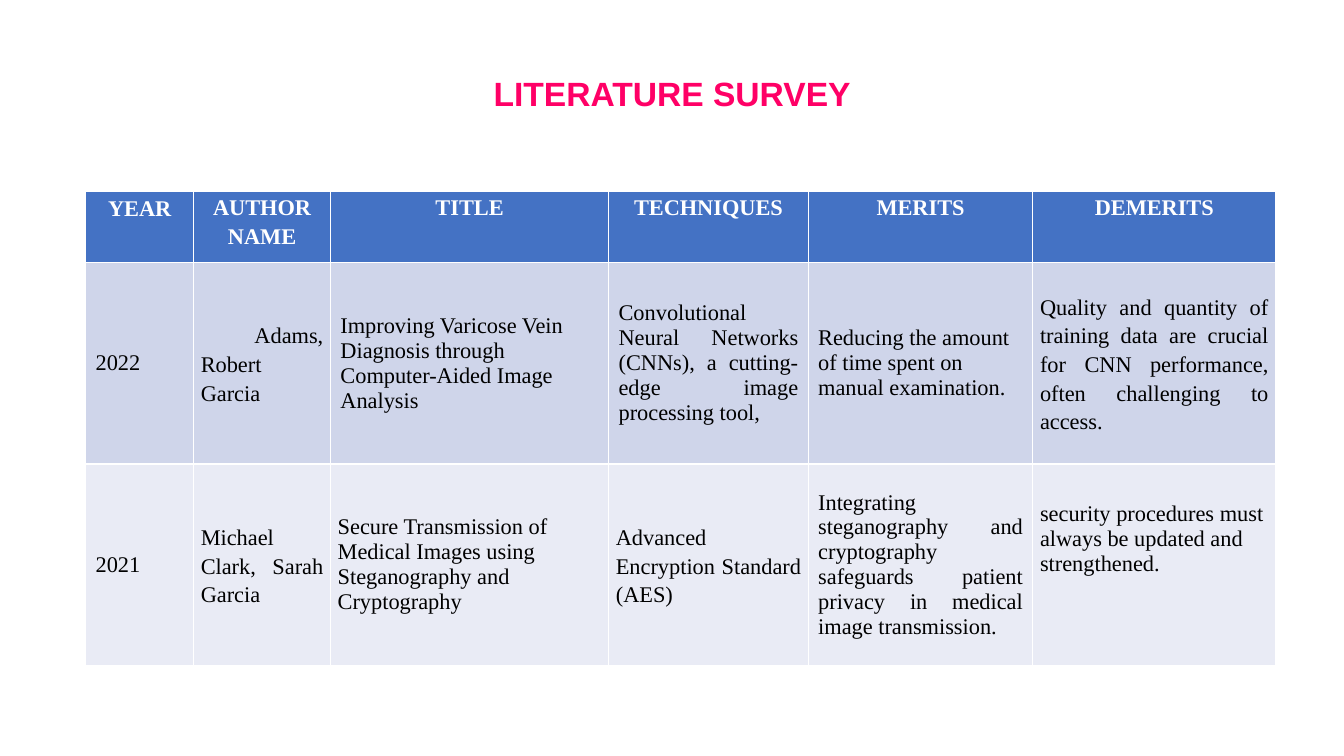
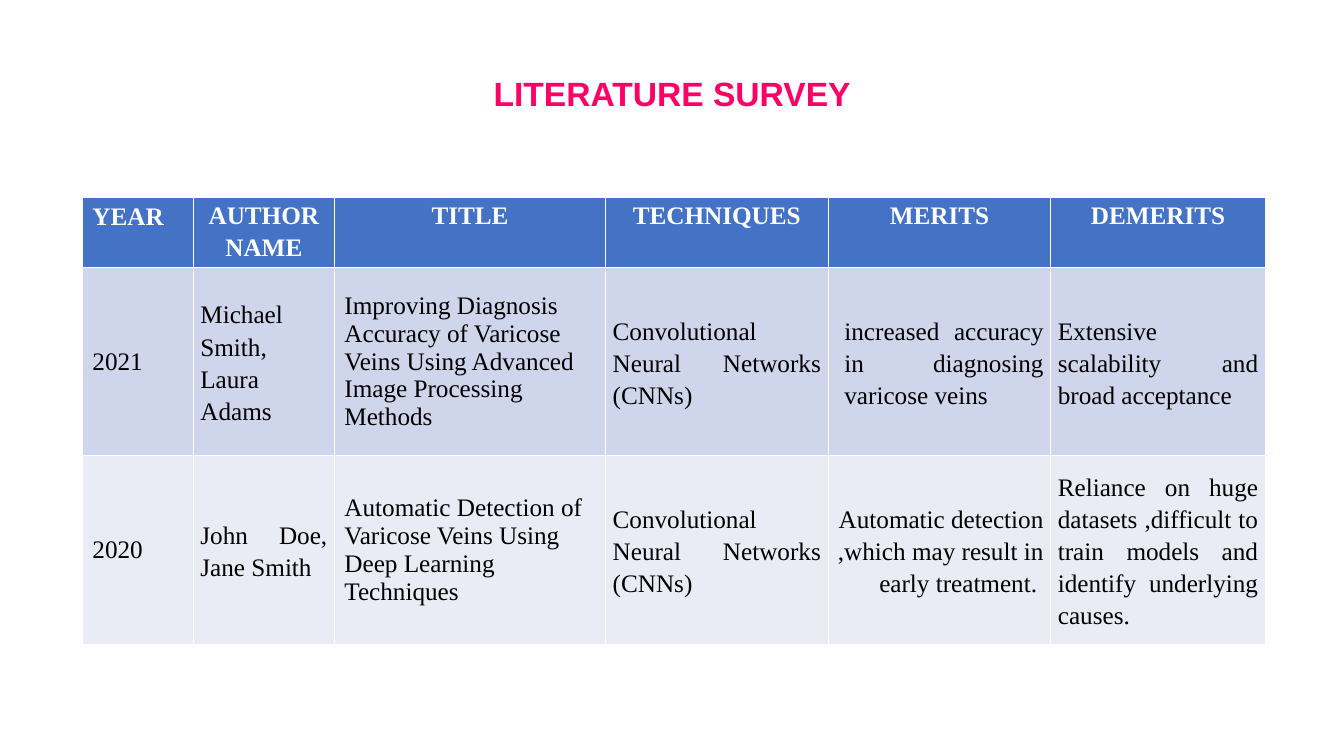
from dataclasses import dataclass

from lxml.etree import SubElement
from pptx import Presentation
from pptx.dml.color import RGBColor
from pptx.enum.text import MSO_ANCHOR, PP_ALIGN
from pptx.oxml.ns import qn
from pptx.util import Cm, Pt

LEFT, CENTER = PP_ALIGN.LEFT, PP_ALIGN.CENTER
RIGHT, JUSTIFY = PP_ALIGN.RIGHT, PP_ALIGN.JUSTIFY


@dataclass
class Entry:
    """Text of one table cell and how it is set."""
    text: str
    align: PP_ALIGN = JUSTIFY
    leading: float = 1.15
    roomy: bool = False
    indent: float = 0
    bottom: float = 0


def roomy(text, align=JUSTIFY):
    return Entry(text, align, 1.0, True)


class SurveyDeck:
    COLORS = {"title": "FF0066", "header": "4472C4", "odd": "CFD5EA",
              "even": "E9EBF5", "light": "FFFFFF", "dark": "000000"}
    TITLE_FONT, TABLE_FONT = "Arial", "Times New Roman"

    def __init__(self):
        self.deck = Presentation()
        self.deck.slide_width, self.deck.slide_height = Cm(33.87), Cm(19.05)
        self.slide = None

    def color(self, name):
        return RGBColor.from_string(self.COLORS[name])

    def new_slide(self, heading):
        self.slide = self.deck.slides.add_slide(self.deck.slide_layouts[6])
        self.title(heading)

    def style(self, paragraph, font_name, size, color, bold):
        for run in paragraph.runs:
            run.font.name, run.font.size, run.font.bold = font_name, Pt(size), bold
            run.font.color.rgb = self.color(color)

    def title(self, heading):
        frame = self.slide.shapes.add_textbox(
            Cm(5.51), Cm(0.76), Cm(22.86), Cm(3.18)).text_frame
        frame.word_wrap = True
        frame.vertical_anchor = MSO_ANCHOR.MIDDLE
        frame.text = heading
        frame.paragraphs[0].alignment = CENTER
        self.style(frame.paragraphs[0], self.TITLE_FONT, 24, "title", True)

    def borders(self, cell):
        properties = cell._tc.get_or_add_tcPr()
        for side in ("a:lnL", "a:lnR", "a:lnT", "a:lnB"):
            line = SubElement(properties, qn(side), w=str(Pt(1)))
            fill = SubElement(line, qn("a:solidFill"))
            SubElement(fill, qn("a:srgbClr"), val=self.COLORS["light"])

    def cell(self, cell, entry, size, fill, is_header):
        self.borders(cell)
        cell.fill.solid()
        cell.fill.fore_color.rgb = self.color(fill)
        side, edge = (0.25, 0.13) if entry.roomy else (0.18, 0)
        cell.margin_left = cell.margin_right = Cm(side)
        cell.margin_top, cell.margin_bottom = Cm(edge), Cm(edge + entry.bottom)
        cell.vertical_anchor = MSO_ANCHOR.TOP if is_header else MSO_ANCHOR.MIDDLE
        cell.text_frame.text = entry.text
        for paragraph in cell.text_frame.paragraphs:
            paragraph.alignment = entry.align
            paragraph.line_spacing = entry.leading
            if entry.indent:
                paragraph._p.get_or_add_pPr().set("marL", str(Cm(entry.indent)))
            self.style(paragraph, self.TABLE_FONT, size,
                       "light" if is_header else "dark", is_header)

    def table(self, left, top, widths, heights, size, rows):
        table = self.slide.shapes.add_table(
            len(heights), len(widths), Cm(left), Cm(top),
            Cm(sum(widths)), Cm(sum(heights))).table
        for column, width in zip(table.columns, widths):
            column.width = Cm(width)
        for row, height in zip(table.rows, heights):
            row.height = Cm(height)
        for r, (entries, fill) in enumerate(zip(rows, ("header", "odd", "even"))):
            for c, entry in enumerate(entries):
                self.cell(table.cell(r, c), entry, size, fill, r == 0)

    def save(self):
        self.deck.save("out.pptx")


HEADING = "LITERATURE SURVEY"


def header(year_align):
    names = ("AUTHOR NAME", "TITLE", "TECHNIQUES", "MERITS", "DEMERITS")
    return [roomy("YEAR", year_align)] + [Entry(name, CENTER) for name in names]


def main():
    survey = SurveyDeck()

    # Studies from 2022 and 2021
    survey.new_slide(HEADING)
    survey.table(2.16, 4.83, (2.72, 3.45, 7.01, 5.03, 5.66, 6.12),
                 (1.78, 5.08, 5.08), 16, [
        header(CENTER),
        [roomy("2022"),
         Entry(" Adams, Robert Garcia"),
         roomy("Improving Varicose Vein Diagnosis through\n"
               "Computer-Aided Image Analysis", LEFT),
         roomy("Convolutional Neural Networks (CNNs), a cutting-edge image "
               "processing tool,"),
         roomy("Reducing the amount of time spent on manual examination.", LEFT),
         Entry("Quality and quantity of training data are crucial for CNN "
               "performance, often challenging to access.")],
        [roomy("2021"),
         Entry("Michael Clark, Sarah Garcia"),
         Entry("Secure Transmission of Medical Images using\n"
               "Steganography and Cryptography", LEFT, 1.0),
         Entry("Advanced Encryption Standard (AES)"),
         roomy("Integrating steganography and cryptography safeguards patient "
               "privacy in medical image transmission."),
         Entry("security procedures must always be updated and strengthened.",
               LEFT, 1.0, bottom=1.3)],
    ])

    # Studies from 2021 and 2020
    survey.new_slide(HEADING)
    survey.table(2.08, 4.98, (2.79, 3.56, 6.83, 5.61, 5.61, 5.41),
                 (1.63, 4.75, 4.75), 18, [
        header(LEFT),
        [roomy("2021"),
         Entry("Michael Smith, Laura Adams"),
         roomy("Improving Diagnosis Accuracy of Varicose\n"
               "Veins Using Advanced Image Processing Methods", LEFT),
         Entry("Convolutional Neural Networks (CNNs)"),
         Entry("increased accuracy in diagnosing varicose veins", indent=0.23),
         Entry("Extensive scalability and broad acceptance")],
        [roomy("2020"),
         Entry("John Doe, Jane Smith"),
         roomy("Automatic Detection of Varicose Veins Using\n"
               "Deep Learning Techniques", LEFT),
         Entry("Convolutional Neural Networks (CNNs)"),
         Entry("Automatic detection ,which may result in early treatment. ", RIGHT),
         Entry("Reliance on huge datasets ,difficult to train models and "
               "identify underlying causes.")],
    ])

    survey.save()


if __name__ == "__main__":
    main()
